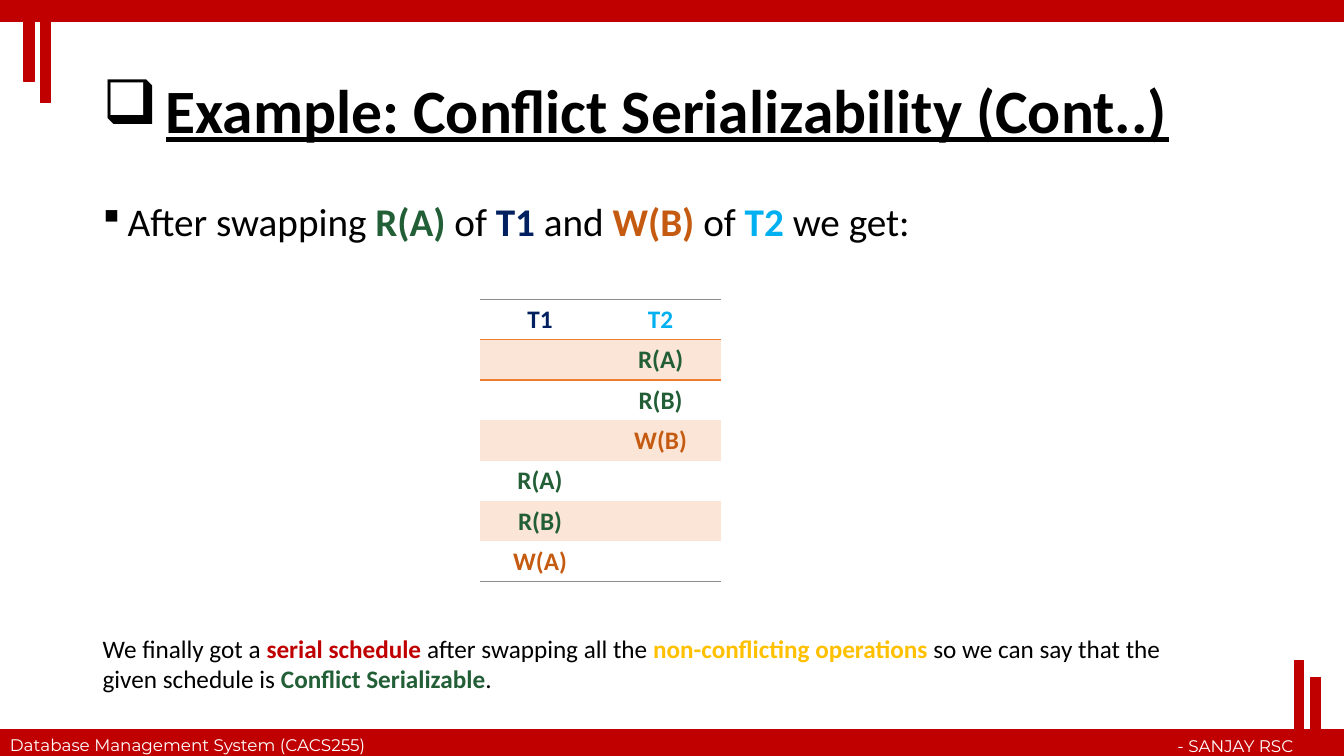
from lxml import etree
from pptx import Presentation, oxml, util as u
from pptx.dml.color import RGBColor
from pptx.enum import shapes, text
from pptx.oxml.ns import qn

RED, GREEN, NAVY, ORANGE, SKY = "C00000", "225E36", "002060", "C55A11", "00B0F0"
GOLD, BLACK, WHITE = "FFC000", "000000", "FFFFFF"
BAND, HEADER_LINE, OUTER_LINE = "FBE5D6", "ED7D31", "8C8C8C"
WIDTH, HEIGHT = 960, 540

TITLE = [("Example: Conflict Serializability (Cont..)", BLACK)]
INTRO = [("After swapping ", None), ("R(A)", GREEN), (" of ", None), ("T1", NAVY),
         (" and ", None), ("W(B)", ORANGE), (" of ", None), ("T2", SKY),
         (" we get:", None)]
CONCLUSION = [("We finally got a ", None), ("serial schedule", RED),
              (" after swapping all the ", None), ("non-conflicting operations", GOLD),
              (" so we can say that the given schedule is\u00a0", None),
              ("Conflict Serializable", GREEN), (".", None)]
SCHEDULE = [("T1", "T2"), ("", "R(A)"), ("", "R(B)"), ("", "W(B)"),
            ("R(A)", ""), ("R(B)", ""), ("W(A)", "")]
OPERATION_COLOURS = {"T1": NAVY, "T2": SKY, "R(A)": GREEN, "R(B)": GREEN,
                     "W(B)": ORANGE, "W(A)": ORANGE}
FOOTER_LEFT = "Database Management System (CACS255)"
FOOTER_RIGHT = "- SANJAY RSC"

# left, top, width, height
RED_BARS = [(0, 521.3, 960, 18.7), (0, 0, 960, 15.1), (28.8, 0.7, 7.2, 72.7),
            (17.3, 2.2, 7.2, 56.2), (924.5, 471.6, 6.5, 67.7), (936, 483.8, 7.2, 56.2)]
TABLE_LEFT, TABLE_TOP, COLUMN_WIDTH, ROW_HEIGHT = 342.7, 213.8, 86.1, 28.8


def colour(hex_string):
    """Turn a hex string into a colour."""
    return RGBColor.from_string(hex_string)


def box(frame):
    """Turn left, top, width and height in points into lengths."""
    return [u.Pt(value) for value in frame]


def write(frame, runs, size=18, font="Calibri", base=BLACK, underline=None,
          align=None, spacing=None, before=None, bullet=None, indent=0):
    """Fill a text frame with runs of (words, accent); accented runs are bold."""
    paragraph = frame.paragraphs[0]
    paragraph.alignment = align
    paragraph.line_spacing = spacing
    paragraph.space_before = before
    if bullet:
        properties = paragraph._p.get_or_add_pPr()
        properties.set("marL", str(u.Pt(indent)))
        properties.set("indent", str(u.Pt(-indent)))
        etree.SubElement(properties, qn("a:buFont"), typeface="Wingdings", charset="2")
        etree.SubElement(properties, qn("a:buChar"), char=bullet)
    for words, accent in runs:
        run = paragraph.add_run()
        run.text = words
        run.font.size = u.Pt(size)
        run.font.name = font
        run.font.bold = accent is not None
        run.font.underline = underline
        run.font.color.rgb = colour(accent or base)


def add_text(slide, frame, runs, anchor=text.MSO_ANCHOR.TOP, **style):
    """Add a wrapping text box."""
    text_frame = slide.shapes.add_textbox(*box(frame)).text_frame
    text_frame.word_wrap = True
    text_frame.vertical_anchor = anchor
    write(text_frame, runs, **style)


def add_bar(slide, frame):
    """Add one red bar of the page frame."""
    shape = slide.shapes.add_shape(shapes.MSO_SHAPE.RECTANGLE, *box(frame))
    shape.shadow.inherit = False
    shape.fill.solid()
    shape.fill.fore_color.rgb = colour(RED)
    shape.line.color.rgb = colour(RED)
    shape.line.width = u.Pt(1)


def add_border(cell, side, hex_string):
    """Draw a one-point border on a cell side, lnT or lnB."""
    properties = cell._tc.get_or_add_tcPr()
    line = oxml.parse_xml(
        f'<a:{side} xmlns:a="http://schemas.openxmlformats.org/drawingml/2006/main" '
        f'w="{u.Pt(1)}"><a:solidFill><a:srgbClr val="{hex_string}"/></a:solidFill></a:{side}>')
    properties.insert(len(properties.findall(qn("a:lnT"))), line)


def add_schedule(slide):
    """Add the table of operations with bands on every second row."""
    rows, columns = len(SCHEDULE), len(SCHEDULE[0])
    frame = (TABLE_LEFT, TABLE_TOP, columns * COLUMN_WIDTH, rows * ROW_HEIGHT)
    table = slide.shapes.add_table(rows, columns, *box(frame)).table
    table.horz_banding = False
    style = table._tbl.tblPr.find(qn("a:tableStyleId"))
    style.text = "{2D5ABB26-0587-4C30-8999-92F81FD0307C}"
    for row, operations in enumerate(SCHEDULE):
        for column, operation in enumerate(operations):
            cell = table.cell(row, column)
            if row % 2:
                cell.fill.solid()
                cell.fill.fore_color.rgb = colour(BAND)
            else:
                cell.fill.background()
            if operation:
                write(cell.text_frame, [(operation, OPERATION_COLOURS[operation])],
                      align=text.PP_ALIGN.CENTER)
            if row == 0:
                add_border(cell, "lnT", OUTER_LINE)
                add_border(cell, "lnB", HEADER_LINE)
            elif row == 1:
                add_border(cell, "lnT", HEADER_LINE)
            elif row == rows - 1:
                add_border(cell, "lnB", OUTER_LINE)


presentation = Presentation()
presentation.slide_width, presentation.slide_height = u.Pt(WIDTH), u.Pt(HEIGHT)
slide = presentation.slides.add_slide(presentation.slide_layouts[6])

for bar in RED_BARS:
    add_bar(slide, bar)
footer = {"size": 12, "font": "Montserrat", "base": WHITE}
add_text(slide, (0, 521.3, 299.5, 21.6), [(FOOTER_LEFT, None)], **footer)
add_text(slide, (698.4, 522, 232.6, 21.6), [(FOOTER_RIGHT, None)],
         align=text.PP_ALIGN.RIGHT, **footer)
add_text(slide, (66.2, 28.8, 828, 104.4), TITLE, anchor=text.MSO_ANCHOR.MIDDLE,
         size=44, underline=True, spacing=0.9, bullet="q", indent=45)
add_text(slide, (66.2, 144, 828, 36.7), INTRO, size=28, spacing=0.8,
         before=u.Pt(10), bullet="§", indent=18)
add_schedule(slide)
add_text(slide, (66.2, 448.6, 810, 51.1), CONCLUSION)

presentation.save("out.pptx")
